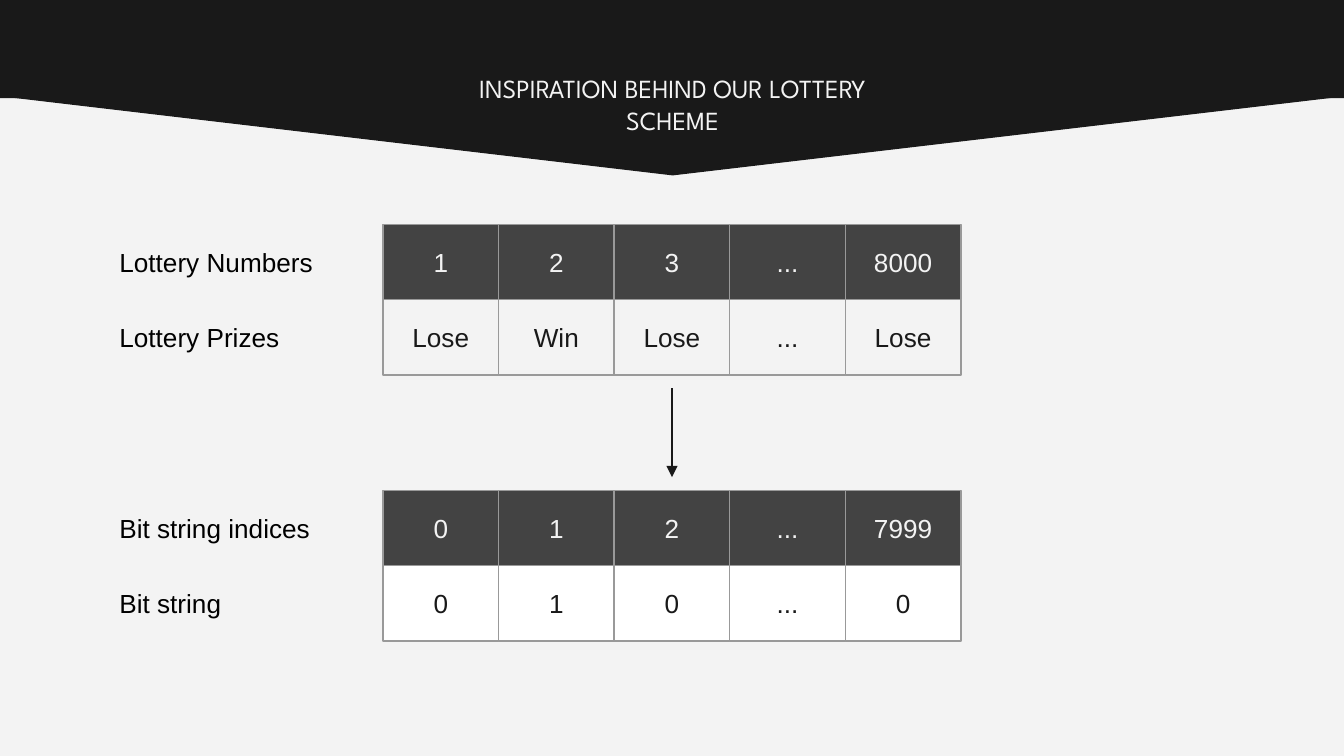
from dataclasses import dataclass

from lxml.etree import SubElement
from pptx import Presentation
from pptx.dml.color import RGBColor
from pptx.enum.shapes import MSO_CONNECTOR, MSO_SHAPE
from pptx.enum.text import MSO_ANCHOR, PP_ALIGN
from pptx.oxml.ns import qn
from pptx.util import Inches, Pt


@dataclass(frozen=True)
class Theme:
    """Colours, fonts and sizes of the slide."""
    dark: str = "191919"
    head: str = "434343"
    pale: str = "F3F3F3"
    white: str = "FFFFFF"
    black: str = "000000"
    edge: str = "999999"
    body: str = "Arial"
    title: str = "League Spartan"
    size: float = 14
    line: float = 0.75


THEME = Theme()


def rgb(code):
    """Turn a hex code into a colour."""
    return RGBColor.from_string(code)


def write(shape, text, color, font=THEME.body, align=PP_ALIGN.CENTER,
          anchor=MSO_ANCHOR.MIDDLE):
    """Put one styled paragraph into a shape."""
    frame = shape.text_frame
    frame.word_wrap = True
    frame.vertical_anchor = anchor
    frame.margin_left = frame.margin_right = Inches(0.1)
    frame.margin_top = frame.margin_bottom = Inches(0.1)
    para = frame.paragraphs[0]
    para.text = text
    para.alignment = align
    para.font.name = font
    para.font.size = Pt(THEME.size)
    para.font.color.rgb = rgb(color)


def block(slide, kind, box, fill, edge=None):
    """Draw a filled shape, outlined if an edge colour is given."""
    shape = slide.shapes.add_shape(kind, *map(Inches, box))
    shape.shadow.inherit = False
    shape.fill.solid()
    shape.fill.fore_color.rgb = rgb(fill)
    if edge:
        shape.line.color.rgb = rgb(edge)
        shape.line.width = Pt(THEME.line)
    else:
        shape.line.fill.background()
    return shape


def banner(slide, box, text):
    """Draw the pointed dark band and its title."""
    left, top, width, height = box
    tip = block(slide, MSO_SHAPE.ISOSCELES_TRIANGLE,
                (left, top + 0.92, width, height - 0.92), THEME.dark, THEME.dark)
    tip.rotation = 180
    block(slide, MSO_SHAPE.RECTANGLE, (left, top, width, 0.94), THEME.dark)
    wide = 3.26
    title = slide.shapes.add_textbox(
        Inches(left + (width - wide) / 2), Inches(top + 0.65),
        Inches(wide), Inches(0.75))
    write(title, text, THEME.pale, THEME.title, anchor=MSO_ANCHOR.TOP)


def grid(slide, box, rows, fill):
    """Draw labelled rows of cells, the first row dark."""
    left, top, width, height = box
    side = 2.06
    high = height / len(rows)
    for row, (label, cells) in enumerate(rows):
        y = top + row * high
        note = slide.shapes.add_textbox(
            Inches(left), Inches(y + 0.06), Inches(side), Inches(high - 0.12))
        write(note, label, THEME.black, align=PP_ALIGN.LEFT, anchor=MSO_ANCHOR.TOP)
        wide = (width - side) / len(cells)
        back, ink = (fill, THEME.dark) if row else (THEME.head, THEME.pale)
        for col, text in enumerate(cells):
            cell = block(slide, MSO_SHAPE.RECTANGLE,
                         (left + side + col * wide, y, wide, high), back, THEME.edge)
            write(cell, text, ink)


def arrow(slide, box):
    """Draw an arrow along the diagonal of a box."""
    left, top, width, height = box
    ends = map(Inches, (left, top, left + width, top + height))
    line = slide.shapes.add_connector(MSO_CONNECTOR.STRAIGHT, *ends)
    line.line.color.rgb = rgb(THEME.dark)
    line.line.width = Pt(THEME.line)
    SubElement(line.line._get_or_add_ln(), qn("a:tailEnd"), type="triangle")
    SubElement(line._element.spPr, qn("a:effectLst"))


def main():
    """Build and save the slide."""
    deck = Presentation()
    deck.slide_width, deck.slide_height = Inches(10), Inches(10 * 9 / 16)
    slide = deck.slides.add_slide(deck.slide_layouts[6])
    slide.background.fill.solid()
    slide.background.fill.fore_color.rgb = rgb(THEME.pale)

    banner(slide, (-0.01, -0.21, 10.03, 1.51), "INSPIRATION BEHIND OUR LOTTERY SCHEME")
    grid(slide, (0.79, 1.67, 6.36, 1.12), [
        ("Lottery Numbers", ["1", "2", "3", "...", "8000"]),
        ("Lottery Prizes", ["Lose", "Win", "Lose", "...", "Lose"]),
    ], THEME.pale)
    arrow(slide, (5, 2.89, 0, 0.66))
    grid(slide, (0.79, 3.65, 6.36, 1.12), [
        ("Bit string indices", ["0", "1", "2", "...", "7999"]),
        ("Bit string", ["0", "1", "0", "...", "0"]),
    ], THEME.white)
    deck.save("out.pptx")


if __name__ == "__main__":
    main()
